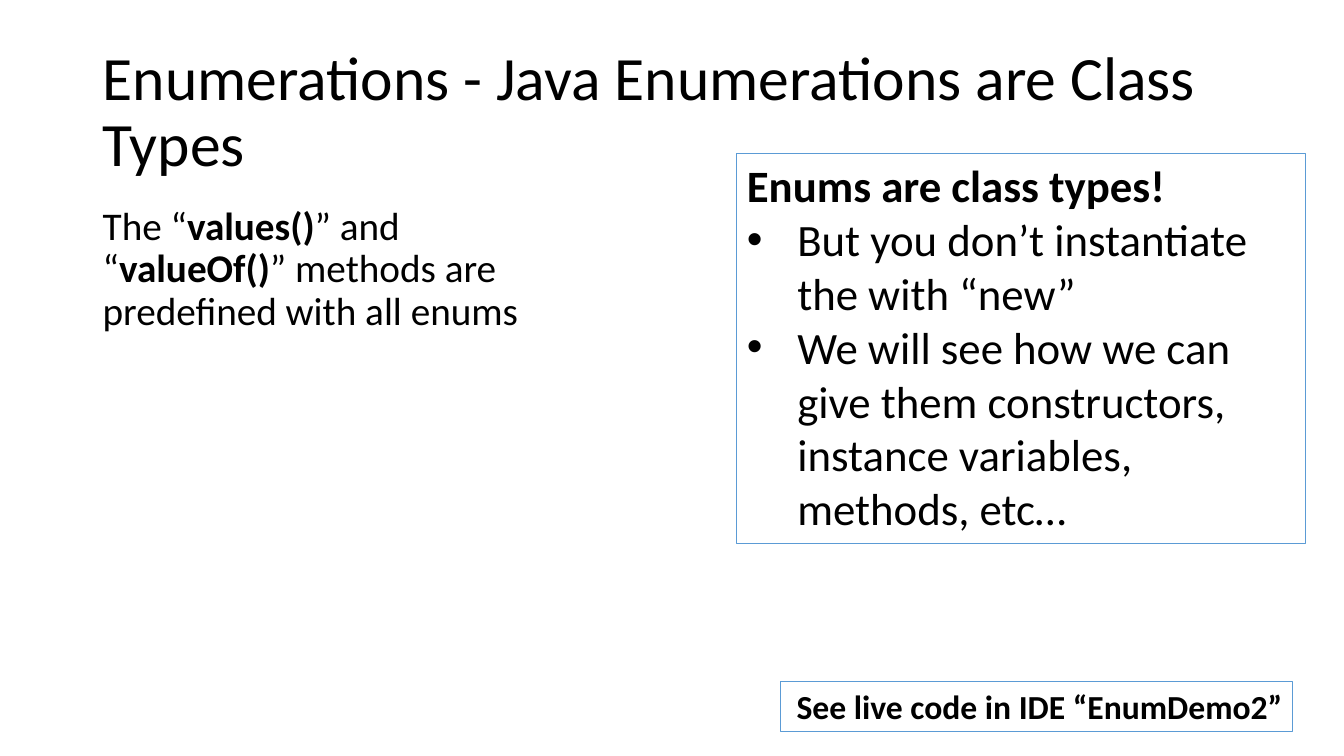
from lxml.etree import SubElement
from pptx import Presentation
from pptx.dml.color import RGBColor
from pptx.enum.shapes import MSO_SHAPE as Preset
from pptx.enum.text import MSO_ANCHOR as Anchor, MSO_AUTO_SIZE as AutoSize, PP_ALIGN as Align
from pptx.oxml.ns import qn
from pptx.util import Inches, Pt

FONT = "Calibri"
COLORS = {"text": "000000", "border": "5B9BD5"}

TITLE = [[("Enumerations - Java Enumerations are Class Types", False)]]
METHODS = [[
    ("The “", False),
    ("values()", True),
    ("” and “", False),
    ("valueOf()", True),
    ("” methods are predefined with all enums", False),
]]
CLASS_TYPES = [
    [("Enums are class types!", True)],
    [("But you don’t instantiate the with “new”", False)],
    [("We will see how we can give them constructors, instance variables, methods, etc…", False)],
]
LIVE_CODE = [[("See live code in IDE “EnumDemo2”", True)]]


def write_text(shape, paragraphs, size):
    frame = shape.text_frame
    frame.word_wrap = True
    for index, runs in enumerate(paragraphs):
        paragraph = frame.paragraphs[0] if index == 0 else frame.add_paragraph()
        paragraph.alignment = Align.LEFT
        paragraph.font.name = FONT
        paragraph.font.size = Pt(size)
        paragraph.font.color.rgb = RGBColor.from_string(COLORS["text"])
        for text, bold in runs:
            run = paragraph.add_run()
            run.text = text
            run.font.bold = bold
    return frame


def add_plain_text(slide, box, paragraphs, size):
    shape = slide.shapes.add_textbox(*map(Inches, box))
    frame = write_text(shape, paragraphs, size)
    frame.paragraphs[0].line_spacing = 0.9
    return frame


def add_bordered_text(slide, box, paragraphs, size):
    shape = slide.shapes.add_shape(Preset.RECTANGLE, *map(Inches, box))
    shape.shadow.inherit = False
    shape.fill.background()
    shape.line.color.rgb = RGBColor.from_string(COLORS["border"])
    shape.line.width = Pt(0.75)
    frame = write_text(shape, paragraphs, size)
    frame.vertical_anchor = Anchor.TOP
    frame.auto_size = AutoSize.SHAPE_TO_FIT_TEXT
    return frame


def add_bullet(paragraph):
    properties = paragraph._p.get_or_add_pPr()
    properties.set("marL", str(Inches(0.5)))
    properties.set("indent", str(Inches(-0.5)))
    SubElement(properties, qn("a:buFont"), typeface="Arial")
    SubElement(properties, qn("a:buChar"), char="•")


def main():
    presentation = Presentation()
    presentation.slide_width = Inches(13.33)
    presentation.slide_height = Inches(7.5)
    slide = presentation.slides.add_slide(presentation.slide_layouts[6])

    title = add_plain_text(slide, (0.92, 0.4, 11.5, 1.45), TITLE, 44)
    title.vertical_anchor = Anchor.MIDDLE

    methods = add_plain_text(slide, (0.92, 2, 4.69, 4.76), METHODS, 28)
    methods.paragraphs[0].space_before = Pt(10)

    class_types = add_bordered_text(slide, (7.31, 1.52, 5.64, 3.87), CLASS_TYPES, 32)
    for paragraph in class_types.paragraphs[1:]:
        properties = paragraph._p.get_or_add_pPr()
        defaults = properties.find(qn("a:defRPr"))
        add_bullet(paragraph)
        properties.append(defaults)

    live_code = add_bordered_text(slide, (7.74, 6.76, 5.08, 0.5), LIVE_CODE, 24)
    live_code.word_wrap = False
    live_code.paragraphs[0].alignment = Align.RIGHT

    presentation.save("out.pptx")


if __name__ == "__main__":
    main()
